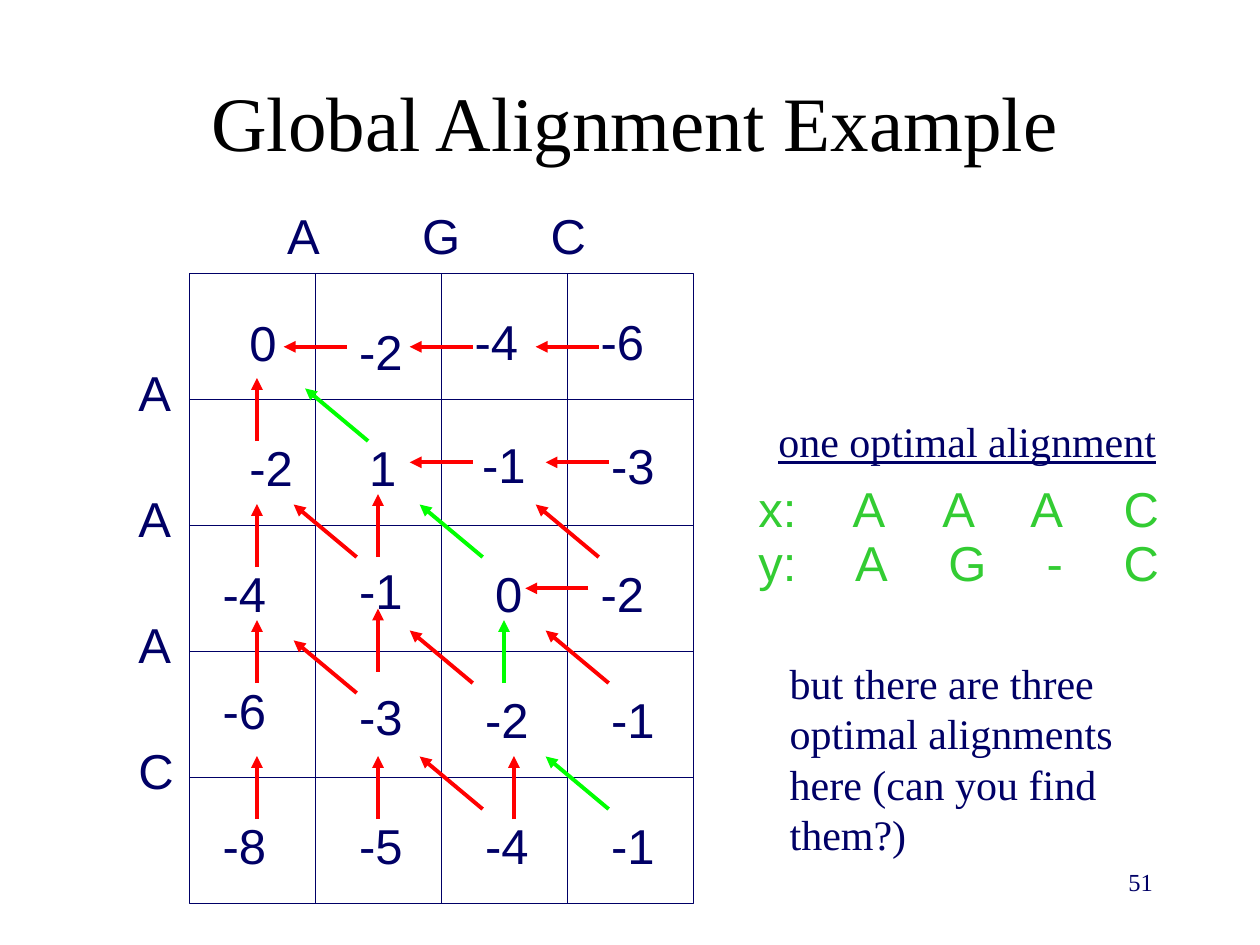
import lxml.etree
import pptx
import pptx.dml.color
import pptx.enum.shapes
import pptx.enum.text
import pptx.oxml.ns
import pptx.util

Cm = pptx.util.Cm
Pt = pptx.util.Pt
RGBColor = pptx.dml.color.RGBColor
Align = pptx.enum.text.PP_ALIGN
Anchor = pptx.enum.text.MSO_ANCHOR
Fit = pptx.enum.text.MSO_AUTO_SIZE

BLACK = RGBColor(0, 0, 0)
NAVY = RGBColor(0, 0, 0x66)
RED = RGBColor(0xFF, 0, 0)
LIME = RGBColor(0, 0xFF, 0)
GREEN = RGBColor(0x33, 0xCC, 0x33)

SANS = {"name": "Arial", "size": Pt(28)}
SERIF = {"name": "Times New Roman", "size": Pt(24)}
TITLE = {**SERIF, "size": Pt(44)}
HEAD = {**SERIF, "underline": True}
FOOT = {**SERIF, "size": Pt(14)}

CELL = 2.54
LEFT, TOP = 3.81, 5.5
WIDTHS = {"A": 1.17, "C": 1.22, "G": 1.27, "-": 0.84, "x:": 1.27, "y:": 1.27}

UP = (0, -1.27)
BACK = (-1.27, 0)
SLANT = (-1.27, -1.06)

SCORES = [
    [("0", 4.78, 6.17), ("-2", 6.99, 6.35), ("-4", 9.32, 6.15), ("-6", 11.86, 6.15)],
    [("-2", 4.78, 8.69), ("1", 7.19, 8.69), ("-1", 9.47, 8.64), ("-3", 12.07, 8.66)],
    [("-4", 4.24, 11.23), ("-1", 6.99, 11.18), ("0", 9.73, 11.23), ("-2", 11.86, 11.23)],
    [("-6", 4.24, 13.59), ("-3", 6.99, 13.72), ("-2", 9.53, 13.77), ("-1", 12.07, 13.77)],
    [("-8", 4.24, 16.31), ("-5", 6.99, 16.31), ("-4", 9.53, 16.31), ("-1", 12.07, 16.31)],
]

ARROWS = [
    (UP, RED, [(5.18, 8.89), (5.18, 11.43), (5.18, 13.77), (5.18, 16.51),
               (7.62, 11.23), (7.62, 13.54), (7.62, 16.51), (10.36, 16.51)]),
    (UP, LIME, [(10.16, 13.77)]),
    (BACK, RED, [(6.99, 6.99), (9.53, 6.99), (12.07, 6.99),
                 (9.53, 9.32), (12.27, 9.32), (11.86, 11.86)]),
    (SLANT, RED, [(7.19, 11.23), (12.07, 11.23), (7.19, 13.97),
                  (9.53, 13.77), (12.27, 13.77), (9.73, 16.31)]),
    (SLANT, LIME, [(7.42, 8.89), (9.73, 11.23), (12.27, 16.31)]),
]

PAIRS = [
    (9.53, [("x:", 15.04), ("A", 16.94), ("A", 18.75), ("A", 20.52), ("C", 22.4)]),
    (10.62, [("y:", 15.04), ("A", 16.99), ("G", 18.87), ("-", 20.85), ("C", 22.4)]),
]


class Sheet:
    def __init__(self, slide, style):
        self.slide = slide
        self.style = style

    def text(self, words, x, y, wide, high, color=NAVY, style=None, **form):
        box = self.slide.shapes.add_textbox(Cm(x), Cm(y), Cm(wide), Cm(high))
        frame = box.text_frame
        for key, value in {"word_wrap": True, **form}.items():
            setattr(frame, key, value)
        part = frame.paragraphs[0]
        part.text = words
        for key, value in (style or self.style).items():
            setattr(part.font, key, value)
        part.font.color.rgb = color
        return part

    def label(self, words, x, y, color=NAVY):
        wide = WIDTHS.get(words, 1.4 if len(words) == 2 else 1.07)
        self.text(words, x, y, wide, 1.45, color,
                  word_wrap=False, auto_size=Fit.SHAPE_TO_FIT_TEXT)

    def cell(self, x, y):
        kind = pptx.enum.shapes.MSO_SHAPE.RECTANGLE
        box = self.slide.shapes.add_shape(kind, Cm(x), Cm(y), Cm(CELL), Cm(CELL))
        box.shadow.inherit = False
        box.fill.background()
        box.line.color.rgb = NAVY
        box.line.width = Pt(0.25)

    def arrow(self, x, y, step, color):
        kind = pptx.enum.shapes.MSO_CONNECTOR.STRAIGHT
        line = self.slide.shapes.add_connector(
            kind, Cm(x), Cm(y), Cm(x + step[0]), Cm(y + step[1]))
        line.line.color.rgb = color
        line.line.width = Pt(2.25)
        qn = pptx.oxml.ns.qn
        props = line.line._get_or_add_ln()
        lxml.etree.SubElement(props, qn("a:tailEnd"), type="triangle")
        lxml.etree.SubElement(line._element.spPr, qn("a:effectLst"))


def main():
    deck = pptx.Presentation()
    deck.slide_width, deck.slide_height = Cm(25.4), Cm(19.05)
    sheet = Sheet(deck.slides.add_slide(deck.slide_layouts[6]), SANS)

    title = sheet.text("Global Alignment Example", 1.27, 0.84, 23.06, 3.18, BLACK,
                       TITLE, vertical_anchor=Anchor.MIDDLE)
    title.alignment = Align.CENTER

    for row in range(5):
        for col in range(4):
            sheet.cell(LEFT + col * CELL, TOP + row * CELL)
    for base, x in zip("AGC", (5.54, 8.26, 10.85)):
        sheet.label(base, x, 4.01)
    for row, base in enumerate("AAAC"):
        sheet.label(base, 2.54, 7.19 + row * CELL)

    for row in SCORES:
        for score, x, y in row:
            sheet.label(score, x, y)
    for step, color, starts in ARROWS:
        for x, y in starts:
            sheet.arrow(x, y, step, color)

    for y, pair in PAIRS:
        for base, x in pair:
            sheet.label(base, x, y, GREEN)

    sheet.text("one optimal alignment", 15.44, 8.26, 8.43, 1.3, style=HEAD,
               word_wrap=False, auto_size=Fit.SHAPE_TO_FIT_TEXT)
    sheet.text("but there are three optimal alignments here (can you find them?)",
               15.67, 13.13, 8.05, 4.37, style=SERIF, auto_size=Fit.SHAPE_TO_FIT_TEXT)
    count = sheet.text("51", 18.21, 17.35, 5.28, 1.27, style=FOOT)
    count.alignment = Align.RIGHT

    deck.save("out.pptx")


if __name__ == "__main__":
    main()
